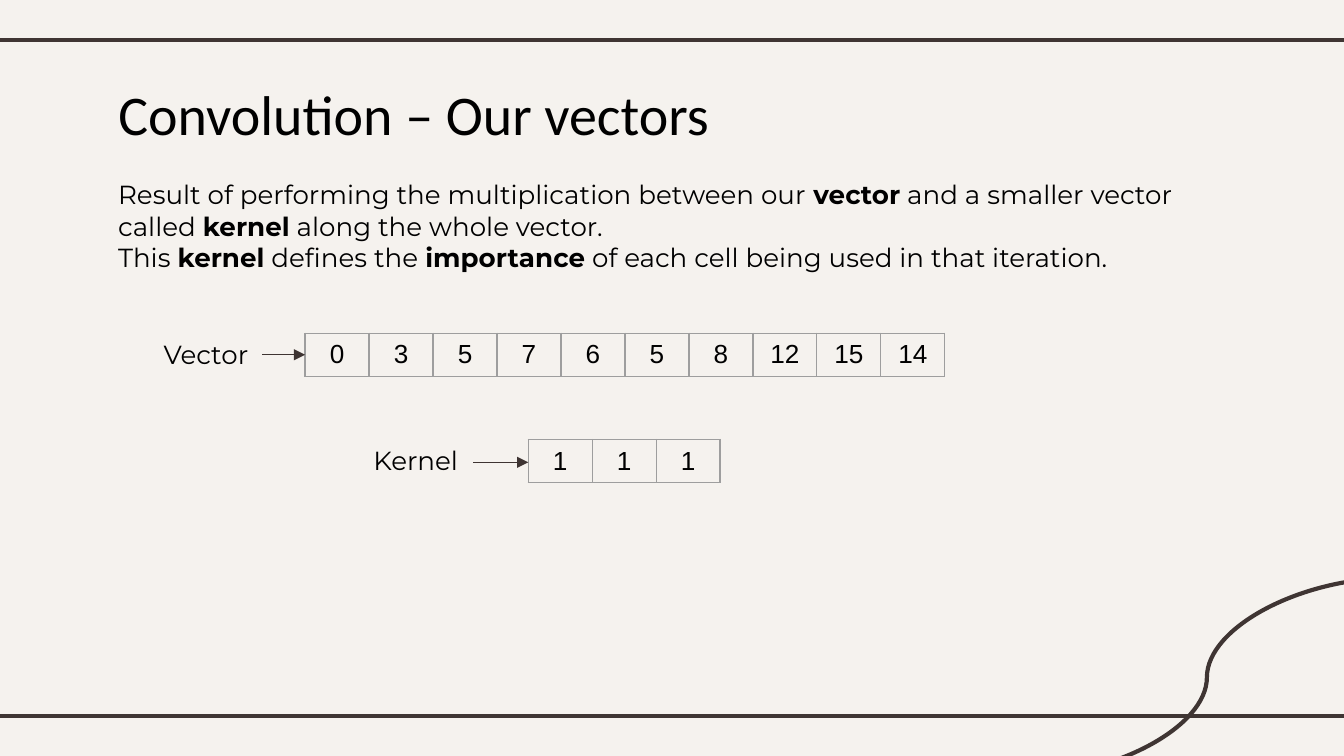
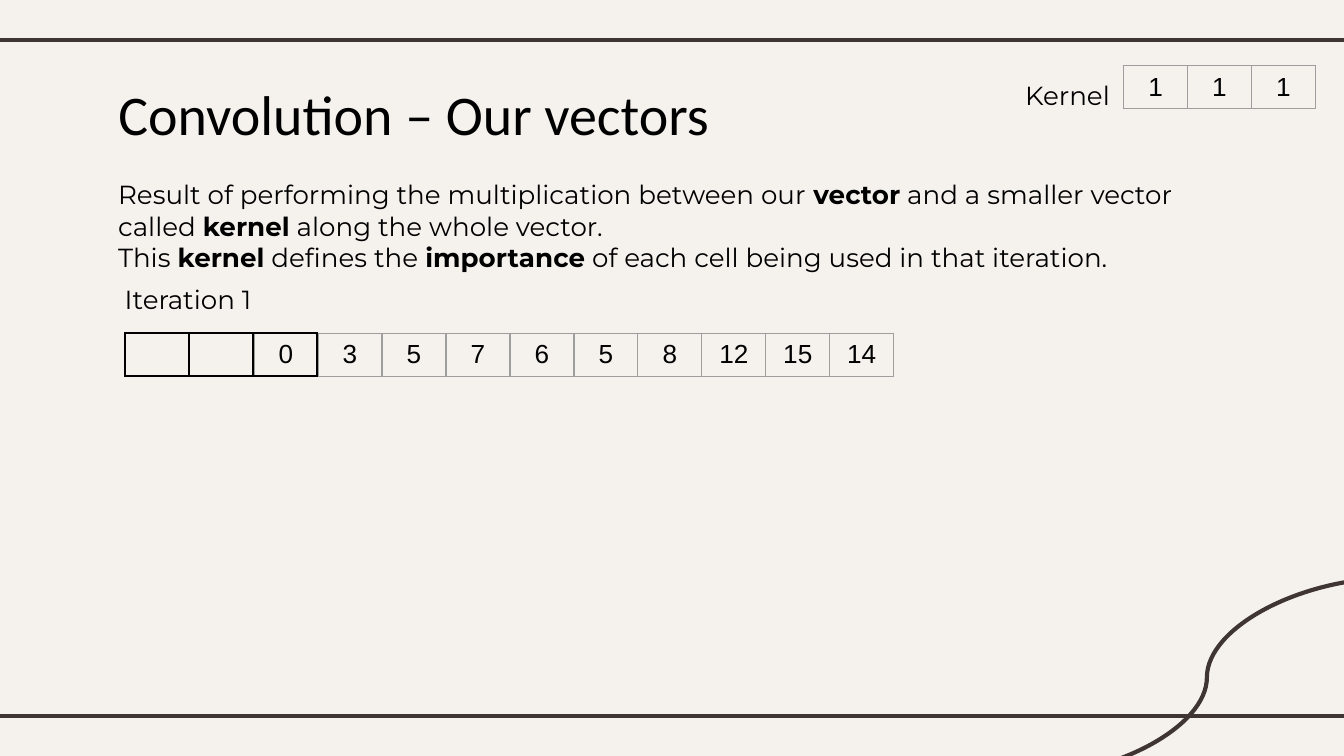
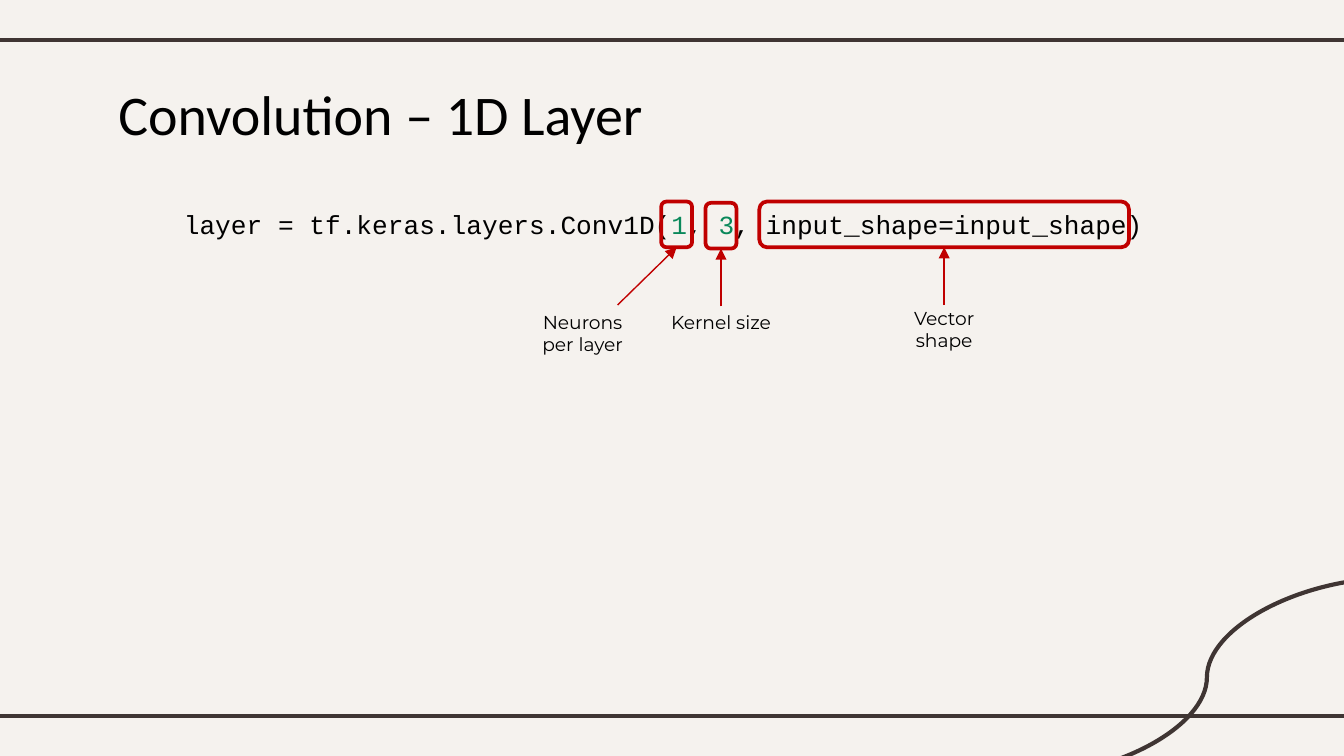
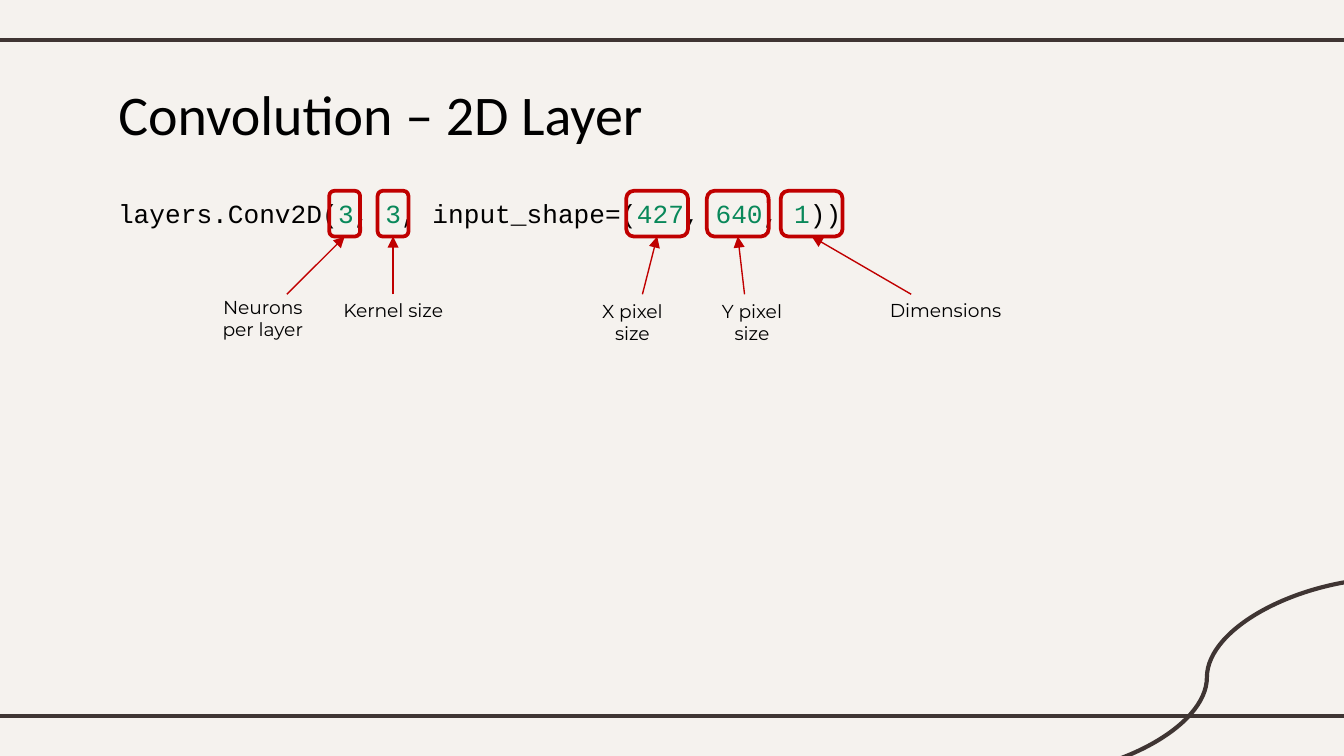
"""Build four slides that explain convolution on vectors and its layers."""
from dataclasses import dataclass

from lxml import etree
from pptx import Presentation
from pptx.dml.color import RGBColor
from pptx.enum import shapes, text
from pptx.oxml import ns
from pptx.util import Inches, Pt

CREAM = RGBColor(0xF5, 0xF2, 0xEE)
BROWN = RGBColor(0x3F, 0x35, 0x33)
ARROW_BROWN = RGBColor(0x3E, 0x34, 0x32)
BLACK = RGBColor(0, 0, 0)
GREY = RGBColor(0x9E, 0x9E, 0x9E)
RED = RGBColor(0xC0, 0, 0)
GREEN = RGBColor(0x09, 0x88, 0x5A)

CELL_WIDTH = 4.76 / 10
CELL_HEIGHT = 0.32
HIGHLIGHT_HEIGHT = 0.34
ARROW_START = 0.77

VECTOR = [0, 3, 5, 7, 6, 5, 8, 12, 15, 14]
KERNEL = [1, 1, 1]
EXPLANATION = [
    "Result of performing the multiplication between our *vector* and a smaller vector "
    "called *kernel* along the whole vector.",
    "This *kernel* defines the *importance* of each cell being used in that iteration.",
]


@dataclass
class Callout:
    """A highlighted part of the code and the label that explains it."""
    label: str
    left: float
    top: float
    width: float
    arrow_shift: float
    label_left: float
    label_top: float
    label_width: float = 0.97
    label_height: float = 0.39


def style_font(font, name, size, color=BLACK):
    """Set the family, size and colour of a font."""
    font.name = name
    font.size = Pt(size)
    font.color.rgb = color


def add_line(slide, start, end, color, width, kind=shapes.MSO_CONNECTOR.STRAIGHT, arrow=False):
    """Add a connector without shadow, with an arrowhead at its end if wanted."""
    connector = slide.shapes.add_connector(kind, *map(Inches, start + end))
    connector.line.color.rgb = color
    connector.line.width = Pt(width)
    properties = connector.element.spPr
    if arrow:
        outline = properties.find(ns.qn("a:ln"))
        etree.SubElement(outline, ns.qn("a:tailEnd"), type="triangle")
    etree.SubElement(properties, ns.qn("a:effectLst"))
    return connector


def add_text_box(slide, box, paragraphs, size=14, name="Montserrat", accent=None,
                 inset=0.1, alignment=text.PP_ALIGN.LEFT):
    """Add text whose starred parts take the accent colour, or bold without one."""
    frame = slide.shapes.add_textbox(*map(Inches, box)).text_frame
    frame.word_wrap = True
    frame.margin_top = frame.margin_bottom = Inches(inset)
    for index, content in enumerate(paragraphs):
        paragraph = frame.add_paragraph() if index else frame.paragraphs[0]
        paragraph.alignment = alignment
        for position, part in enumerate(content.split("*")):
            run = paragraph.add_run()
            run.text = part
            starred = position % 2 == 1
            style_font(run.font, name, size, accent if starred and accent else BLACK)
            run.font.bold = starred and accent is None


def add_border(cell, color, width):
    """Draw all four borders of a table cell."""
    properties = cell._tc.get_or_add_tcPr()
    for side in ("lnL", "lnR", "lnT", "lnB"):
        border = etree.SubElement(properties, ns.qn(f"a:{side}"), w=str(Pt(width)))
        fill = etree.SubElement(border, ns.qn("a:solidFill"))
        etree.SubElement(fill, ns.qn("a:srgbClr"), val=str(color))


def add_vector(slide, left, top, values, color=GREY, width=0.75):
    """Add a one-row table of values."""
    table = slide.shapes.add_table(
        1, len(values), Inches(left), Inches(top),
        Inches(CELL_WIDTH * len(values)), Inches(CELL_HEIGHT)).table
    table.first_row = table.horz_banding = False
    for cell, value in zip(table.rows[0].cells, values):
        add_border(cell, color, width)
        cell.fill.background()
        cell.margin_top = cell.margin_bottom = 0
        cell.vertical_anchor = text.MSO_ANCHOR.MIDDLE
        paragraph = cell.text_frame.paragraphs[0]
        paragraph.text = str(value)
        paragraph.alignment = text.PP_ALIGN.CENTER
        for run in paragraph.runs:
            style_font(run.font, "Arial", 14)


def add_callout(slide, callout):
    """Frame a part of the code and point to it from its label."""
    frame = slide.shapes.add_shape(
        shapes.MSO_SHAPE.ROUNDED_RECTANGLE, Inches(callout.left), Inches(callout.top),
        Inches(callout.width), Inches(HIGHLIGHT_HEIGHT))
    frame.shadow.inherit = False
    frame.fill.background()
    frame.line.color.rgb = RED
    frame.line.width = Pt(2)
    center = callout.left + callout.width / 2
    add_line(slide, (center + callout.arrow_shift, callout.top + ARROW_START),
             (center, callout.top + HIGHLIGHT_HEIGHT), RED, 0.75, arrow=True)
    box = (callout.label_left, callout.label_top, callout.label_width, callout.label_height)
    add_text_box(slide, box, [callout.label], 10, alignment=text.PP_ALIGN.CENTER)


def add_titled_slide(presentation, layout, title):
    """Add a slide with its title."""
    slide = presentation.slides.add_slide(layout)
    frame = slide.shapes.title.text_frame
    frame.text = title
    frame.word_wrap = True
    frame.auto_size = text.MSO_AUTO_SIZE.NONE
    frame.vertical_anchor = text.MSO_ANCHOR.TOP
    frame.margin_top = frame.margin_bottom = Inches(0.1)
    paragraph = frame.paragraphs[0]
    paragraph.alignment = text.PP_ALIGN.LEFT
    style_font(paragraph.runs[0].font, "Calibri", 30)
    return slide


def prepare_layout(presentation):
    """Set the background and the title place, and drop unused placeholders."""
    fill = presentation.slide_master.background.fill
    fill.solid()
    fill.fore_color.rgb = CREAM
    layout = presentation.slide_layouts[5]
    for placeholder in list(layout.placeholders):
        if placeholder.placeholder_format.type == shapes.PP_PLACEHOLDER.TITLE:
            placeholder.left, placeholder.top = Inches(0.78), Inches(0.49)
            placeholder.width, placeholder.height = Inches(7.73), Inches(0.63)
        else:
            placeholder.element.getparent().remove(placeholder.element)
    return layout


def decorate_layout(layout, slide):
    """Draw the bands and the corner curve, and move them to the layout."""
    decorations = [add_line(slide, (-0.08, top), (10.08, top), BROWN, 2.25)
                   for top in (0.3, 5.33)]
    decorations.append(add_line(slide, (10.37, 4.3), (7.59, 5.78), BROWN, 2.25,
                                shapes.MSO_CONNECTOR.CURVE))
    for decoration in decorations:
        layout.shapes.element.append(decoration.element)


def add_vector_slide(presentation, layout):
    """Add a slide with the explanation of convolution."""
    slide = add_titled_slide(presentation, layout, "Convolution – Our vectors")
    add_text_box(slide, (0.78, 1.23, 8.11, 0.79), EXPLANATION)
    return slide


def add_layer_slide(presentation, layout, title, code, box, callouts):
    """Add a slide with a line of code and its callouts."""
    slide = add_titled_slide(presentation, layout, title)
    add_text_box(slide, box, [code], name="Courier New", accent=GREEN, inset=0.05)
    for callout in callouts:
        add_callout(slide, callout)


def main():
    """Build and save the presentation."""
    presentation = Presentation()
    presentation.slide_width = Inches(10)
    presentation.slide_height = Inches(10 * 9 / 16)
    layout = prepare_layout(presentation)

    slide = add_vector_slide(presentation, layout)
    decorate_layout(layout, slide)
    add_vector(slide, 2.27, 2.48, VECTOR)
    add_vector(slide, 3.93, 3.27, KERNEL)
    add_text_box(slide, (1.12, 2.42, 0.9, 0.32), ["Vector"])
    add_text_box(slide, (2.68, 3.21, 0.84, 0.33), ["Kernel"])
    add_line(slide, (1.95, 2.64), (2.27, 2.64), ARROW_BROWN, 0.75, arrow=True)
    add_line(slide, (3.52, 3.44), (3.93, 3.44), ARROW_BROWN, 0.75, arrow=True)

    slide = add_vector_slide(presentation, layout)
    add_vector(slide, 1.89, 2.48, VECTOR)
    add_vector(slide, 0.93, 2.48, [""] * len(KERNEL), BLACK, 1)
    add_text_box(slide, (0.83, 2.01, 1.34, 0.32), ["Iteration 1"])
    add_vector(slide, 8.36, 0.49, KERNEL)
    add_text_box(slide, (7.53, 0.49, 0.84, 0.33), ["Kernel"])

    add_layer_slide(
        presentation, layout, "Convolution – 1D Layer",
        "layer = tf.keras.layers.Conv1D(*1*, *3*, input_shape=input_shape)",
        (1.27, 1.5, 7.46, 0.34), [
            Callout("Neurons per layer", 4.92, 1.5, 0.23, -0.44, 3.85, 2.21, label_height=0.44),
            Callout("Kernel size", 5.25, 1.51, 0.23, 0, 4.88, 2.23),
            Callout("Vector shape", 5.65, 1.5, 2.75, 0, 6.54, 2.18, label_height=0.44),
        ])
    add_layer_slide(
        presentation, layout, "Convolution – 2D Layer",
        "layers.Conv2D(*3*, *3*, input_shape=(*427*, *640*, *1*))",
        (0.78, 1.42, 8.49, 0.34), [
            Callout("Neurons per layer", 2.45, 1.42, 0.23, -0.43, 1.47, 2.1, label_height=0.44),
            Callout("Kernel size", 2.81, 1.42, 0.23, 0, 2.44, 2.14),
            Callout("X pixel size", 4.66, 1.42, 0.46, -0.11, 4.29, 2.13, 0.83),
            Callout("Y pixel size", 5.26, 1.42, 0.46, 0.05, 5.18, 2.13, 0.83),
            Callout("Dimensions", 5.81, 1.42, 0.46, 0.74, 6.51, 2.14, 1.05),
        ])
    presentation.save("out.pptx")


if __name__ == "__main__":
    main()
